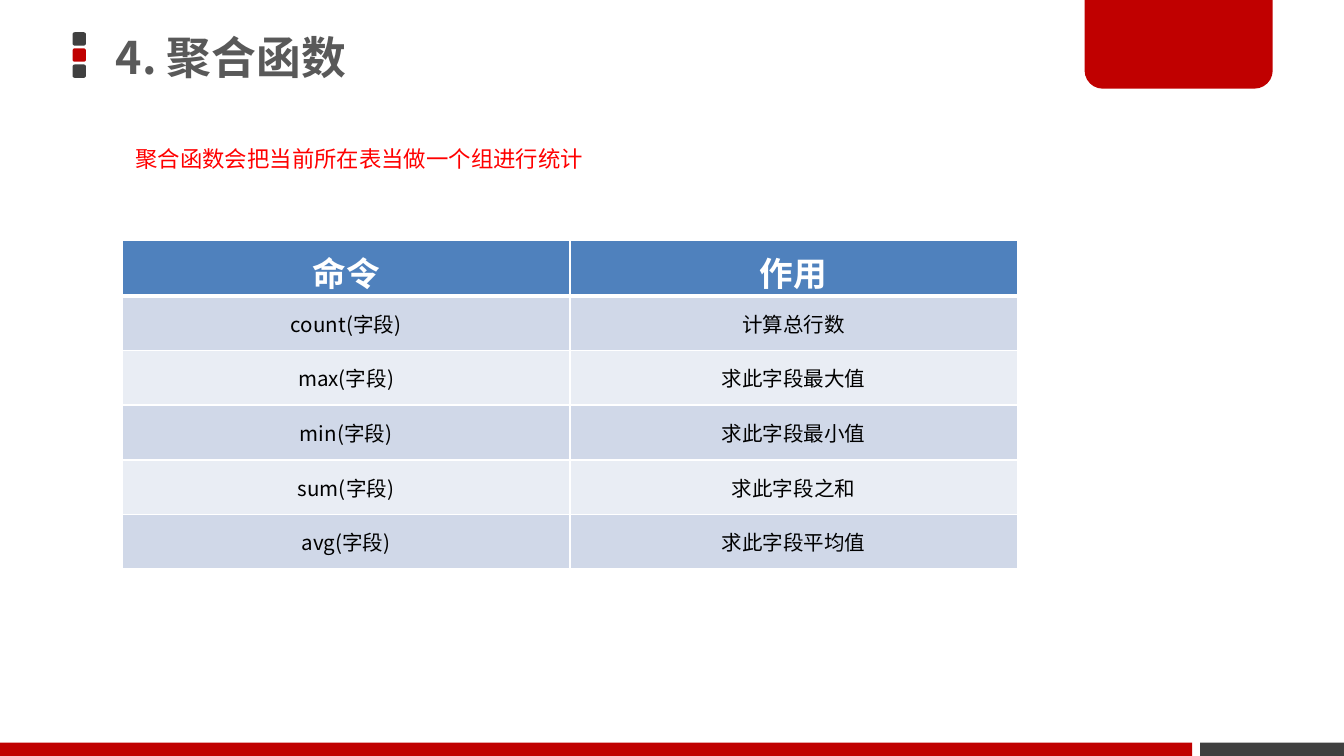
from lxml.etree import SubElement
from pptx import Presentation
from pptx.dml.color import RGBColor
from pptx.enum.shapes import MSO_SHAPE
from pptx.enum.text import MSO_ANCHOR, PP_ALIGN
from pptx.oxml import parse_xml
from pptx.oxml.ns import nsdecls, qn
from pptx.util import Inches, Pt

WIDTH = 10
HEIGHT = WIDTH * 9 / 16
RED = RGBColor(0xC0, 0x00, 0x00)
BRIGHT_RED = RGBColor(0xFF, 0x00, 0x00)
CHARCOAL = RGBColor(0x40, 0x40, 0x40)
GREY = RGBColor(0x59, 0x59, 0x59)
BLACK = RGBColor(0x00, 0x00, 0x00)
WHITE = RGBColor(0xFF, 0xFF, 0xFF)
BLUE = RGBColor(0x4F, 0x81, 0xBD)
BANDS = (RGBColor(0xD0, 0xD8, 0xE8), RGBColor(0xE9, 0xED, 0xF4))
CJK_FONT = "Noto Sans CJK SC"

TITLE_FORMAT = {"size": Pt(24), "name": CJK_FONT, "bold": True}
NOTE_FORMAT = {"size": Pt(12), "name": CJK_FONT, "bold": False}
HEADER_FORMAT = {"size": Pt(18), "name": "Calibri", "bold": True}
CELL_FORMAT = {"size": Pt(11), "name": CJK_FONT, "bold": False}

FUNCTIONS = (
    ("命令", "作用"),
    ("count(字段)", "计算总行数"),
    ("max(字段)", "求此字段最大值"),
    ("min(字段)", "求此字段最小值"),
    ("sum(字段)", "求此字段之和"),
    ("avg(字段)", "求此字段平均值"),
)


def write(frame, text, font_format, color, align=PP_ALIGN.LEFT):
    """Put one formatted paragraph in a text frame and return it."""
    para = frame.paragraphs[0]
    para.alignment = align
    span = para.add_run()
    span.text = text
    for name, value in font_format.items():
        setattr(span.font, name, value)
    span.font.color.rgb = color
    SubElement(span.font._element, qn("a:ea")).set("typeface", CJK_FONT)
    return para


def add_block(page, kind, box, color, adjustments=()):
    """Add a plain filled shape in the given box."""
    block = page.shapes.add_shape(kind, *map(Inches, box))
    block.shadow.inherit = False
    block.fill.solid()
    block.fill.fore_color.rgb = color
    block.line.fill.background()
    for index, value in enumerate(adjustments):
        block.adjustments[index] = value


def add_marker(page, left, top, side, pitch):
    """Stack three rounded squares beside the title."""
    for index, color in enumerate((CHARCOAL, RED, CHARCOAL)):
        box = (left, top + index * pitch, side, side)
        add_block(page, MSO_SHAPE.ROUNDED_RECTANGLE, box, color, (0.167,))


def add_footer(page, left, top, width, height):
    """Draw the two-coloured bar with a narrow gap."""
    red_width, gap = 0.887 * width, 0.006 * width
    dark_left = left + red_width + gap
    add_block(page, MSO_SHAPE.RECTANGLE, (left, top, red_width, height), RED)
    dark_box = (dark_left, top, left + width - dark_left, height)
    add_block(page, MSO_SHAPE.RECTANGLE, dark_box, CHARCOAL)


def add_title(page, text, box):
    """Place and format the title placeholder."""
    title = page.shapes.title
    for name, value in zip(("left", "top", "width", "height"), box):
        setattr(title, name, Inches(value))
    frame = title.text_frame
    margins = {"margin_left": 0.07, "margin_right": 0.07,
               "margin_top": 0.04, "margin_bottom": 0.04}
    for name, value in margins.items():
        setattr(frame, name, Inches(value))
    frame.vertical_anchor = MSO_ANCHOR.MIDDLE
    write(frame, text, TITLE_FORMAT, GREY).line_spacing = 0.9


def add_note(page, text, box):
    """Add the red remark above the table."""
    frame = page.shapes.add_textbox(*map(Inches, box)).text_frame
    frame.word_wrap = True
    write(frame, text, NOTE_FORMAT, BRIGHT_RED)


def set_borders(cell, widths):
    """Give a cell white borders with the widths of each side in points."""
    properties = cell._tc.get_or_add_tcPr()
    for index, (side, width) in enumerate(widths.items()):
        properties.insert(index, parse_xml(
            f'<a:ln{side} {nsdecls("a")} w="{int(Pt(width))}"><a:solidFill>'
            f'<a:srgbClr val="{WHITE}"/></a:solidFill></a:ln{side}>'))


def add_function_table(page, rows, box):
    """Add the banded table with a blue header row."""
    table = page.shapes.add_table(
        len(rows), len(rows[0]), *map(Inches, box)).table
    for row, texts in enumerate(rows):
        header = row == 0
        fill = BLUE if header else BANDS[(row - 1) % 2]
        font_format = HEADER_FORMAT if header else CELL_FORMAT
        borders = {"L": 1, "R": 1, "T": 3 if row == 1 else 1,
                   "B": 3 if header else 1}
        for column, text in enumerate(texts):
            cell = table.cell(row, column)
            cell.fill.solid()
            cell.fill.fore_color.rgb = fill
            cell.vertical_anchor = MSO_ANCHOR.TOP if header else MSO_ANCHOR.MIDDLE
            cell.margin_bottom = Inches(0 if header else 0.05)
            write(cell.text_frame, text, font_format,
                  WHITE if header else BLACK, PP_ALIGN.CENTER)
            set_borders(cell, borders)


def build():
    """Build and save the deck."""
    deck = Presentation()
    deck.slide_width, deck.slide_height = Inches(WIDTH), Inches(HEIGHT)
    page = deck.slides.add_slide(deck.slide_layouts.get_by_name("Title Only"))
    add_marker(page, 0.54, 0.24, 0.1, 0.12)
    add_block(page, MSO_SHAPE.ROUND_2_SAME_RECTANGLE,
              (8.07, -0.02, 1.4, 0.68), RED, (0, 0.2))
    add_footer(page, 0, HEIGHT - 0.1, WIDTH, 0.1)
    add_title(page, "4. 聚合函数", (0.79, 0, 5.89, 0.89))
    add_function_table(page, FUNCTIONS, (0.91, 1.79, 6.66, 2.44))
    add_note(page, "聚合函数会把当前所在表当做一个组进行统计", (0.91, 1.03, 5, 0.3))
    deck.save("out.pptx")


build()
